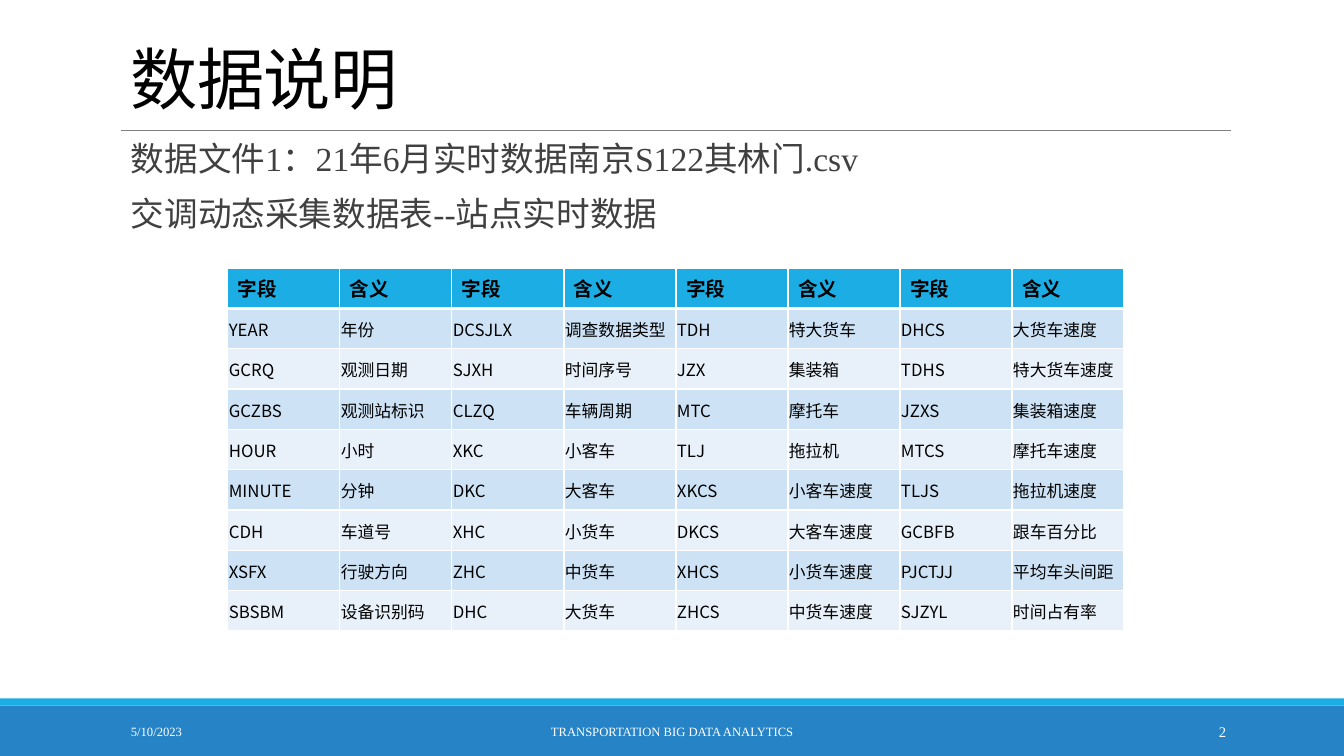
import lxml.etree
import pptx
import pptx.dml.color
import pptx.enum.shapes
import pptx.enum.text
import pptx.oxml.ns
import pptx.util

Inches = pptx.util.Inches
Pt = pptx.util.Pt
RGBColor = pptx.dml.color.RGBColor
ALIGN = pptx.enum.text.PP_ALIGN
ANCHOR = pptx.enum.text.MSO_ANCHOR
qn = pptx.oxml.ns.qn

BLUE = RGBColor(0x26, 0x83, 0xC6)
CYAN = RGBColor(0x1C, 0xAD, 0xE4)
PALE = RGBColor(0xCD, 0xE3, 0xF5)
PALER = RGBColor(0xE8, 0xF1, 0xFA)
GRAY = RGBColor(0x80, 0x80, 0x80)
DARK = RGBColor(0x40, 0x40, 0x40)
BLACK = RGBColor(0, 0, 0)
WHITE = RGBColor(0xFF, 0xFF, 0xFF)
SERIF = "Times New Roman"
SANS = "Noto Sans CJK SC"

HEADER = ["字段", "含义"] * 4
FIELDS = [
    ["YEAR", "年份", "DCSJLX", "调查数据类型", "TDH", "特大货车", "DHCS", "大货车速度"],
    ["GCRQ", "观测日期", "SJXH", "时间序号", "JZX", "集装箱", "TDHS", "特大货车速度"],
    ["GCZBS", "观测站标识", "CLZQ", "车辆周期", "MTC", "摩托车", "JZXS", "集装箱速度"],
    ["HOUR", "小时", "XKC", "小客车", "TLJ", "拖拉机", "MTCS", "摩托车速度"],
    ["MINUTE", "分钟", "DKC", "大客车", "XKCS", "小客车速度", "TLJS", "拖拉机速度"],
    ["CDH", "车道号", "XHC", "小货车", "DKCS", "大客车速度", "GCBFB", "跟车百分比"],
    ["XSFX", "行驶方向", "ZHC", "中货车", "XHCS", "小货车速度", "PJCTJJ", "平均车头间距"],
    ["SBSBM", "设备识别码", "DHC", "大货车", "ZHCS", "中货车速度", "SJZYL", "时间占有率"],
]


def write_text(tf, text, size, color, font=SERIF, bold=False, align=ALIGN.LEFT,
               line=1.0, before=0, after=0, tracking=0):
    for i, words in enumerate(text.split("\n")):
        p = tf.add_paragraph() if i else tf.paragraphs[0]
        p.alignment = align
        p.line_spacing = line
        p.space_before, p.space_after = Pt(before), Pt(after)
        r = p.add_run()
        r.text = words
        r.font.name, r.font.size, r.font.bold = font, Pt(size), bold
        r.font.color.rgb = color
        rPr = r.font._element
        lxml.etree.SubElement(rPr, qn("a:ea")).set("typeface", SANS)
        if tracking:
            rPr.set("spc", str(int(tracking * 100)))


def add_text(s, box, text, size, color, anchor=ANCHOR.MIDDLE, **style):
    tf = s.shapes.add_textbox(*map(Inches, box)).text_frame
    tf.word_wrap = True
    tf.vertical_anchor = anchor
    write_text(tf, text, size, color, **style)


def add_bar(s, box, color):
    sp = s.shapes.add_shape(pptx.enum.shapes.MSO_SHAPE.RECTANGLE, *map(Inches, box))
    sp.shadow.inherit = False
    sp.fill.solid()
    sp.fill.fore_color.rgb = color
    sp.line.fill.background()


def add_footer(s, left, top, width, height):
    stripe = 0.07
    add_bar(s, (left, top + stripe, width, height - stripe), BLUE)
    add_bar(s, (left, top, width, stripe), CYAN)
    for dx, w, text, size, align in (
            (1.2, 2.7, "5/10/2023", 9, ALIGN.LEFT),
            (4.03, 5.27, "TRANSPORTATION BIG DATA ANALYTICS", 9, ALIGN.CENTER),
            (10.83, 1.43, "2", 10.5, ALIGN.RIGHT)):
        add_text(s, (left + dx, top + 0.13, w, 0.4), text, size, WHITE, align=align)


def add_title(s, left, top, width, height):
    add_text(s, (left, top, width, height), "数据说明", 48, BLACK,
             anchor=ANCHOR.BOTTOM, line=0.85, tracking=-0.5)
    y = Inches(top + height + 0.07)
    rule = s.shapes.add_connector(pptx.enum.shapes.MSO_CONNECTOR.STRAIGHT,
                                  Inches(left), y, Inches(left + width + 0.01), y)
    rule.line.color.rgb = GRAY
    rule.line.width = Pt(0.5)
    lxml.etree.SubElement(rule._element.spPr, qn("a:effectLst"))


def add_body(s, left, top, width, height):
    add_text(s, (left, top, width, height),
             "数据文件1：21年6月实时数据南京S122其林门.csv\n交调动态采集数据表--站点实时数据",
             24, DARK, anchor=ANCHOR.TOP, line=0.9, before=12, after=2)


def set_borders(cell, top, bottom):
    tcPr = cell._tc.get_or_add_tcPr()
    for side, width in (("L", 1), ("R", 1), ("T", top), ("B", bottom)):
        ln = lxml.etree.SubElement(tcPr, qn("a:ln" + side), w=str(Pt(width)))
        fill = lxml.etree.SubElement(ln, qn("a:solidFill"))
        lxml.etree.SubElement(fill, qn("a:srgbClr"), val=str(WHITE))


def add_field_table(s, left, top, width, height):
    rows = [HEADER] + FIELDS
    table = s.shapes.add_table(len(rows), len(HEADER), Inches(left), Inches(top),
                               Inches(width), Inches(height)).table
    for column in table.columns:
        column.width = Inches(width / len(HEADER))
    for i, words in enumerate(rows):
        table.rows[i].height = Inches(height / len(rows))
        for j, text in enumerate(words):
            cell = table.cell(i, j)
            set_borders(cell, 3 if i == 1 else 1, 3 if i == 0 else 1)
            cell.fill.solid()
            if i == 0:
                cell.fill.fore_color.rgb = CYAN
                write_text(cell.text_frame, text, 14, BLACK, bold=True)
            else:
                cell.fill.fore_color.rgb = PALE if i % 2 else PALER
                cell.vertical_anchor = ANCHOR.MIDDLE
                cell.margin_left = cell.margin_right = cell.margin_top = Inches(0.01)
                cell.margin_bottom = 0
                write_text(cell.text_frame, text, 12, BLACK, font=SANS)


def main():
    prs = pptx.Presentation()
    prs.slide_width, prs.slide_height = Inches(13.33), Inches(7.5)
    s = prs.slides.add_slide(prs.slide_layouts[6])
    add_footer(s, 0, 6.93, 13.33, 0.57)
    add_title(s, 1.2, 0.13, 11, 1.09)
    add_body(s, 1.2, 1.36, 11, 1.3)
    add_field_table(s, 2.26, 2.66, 8.89, 3.6)
    prs.save("out.pptx")


if __name__ == "__main__":
    main()
